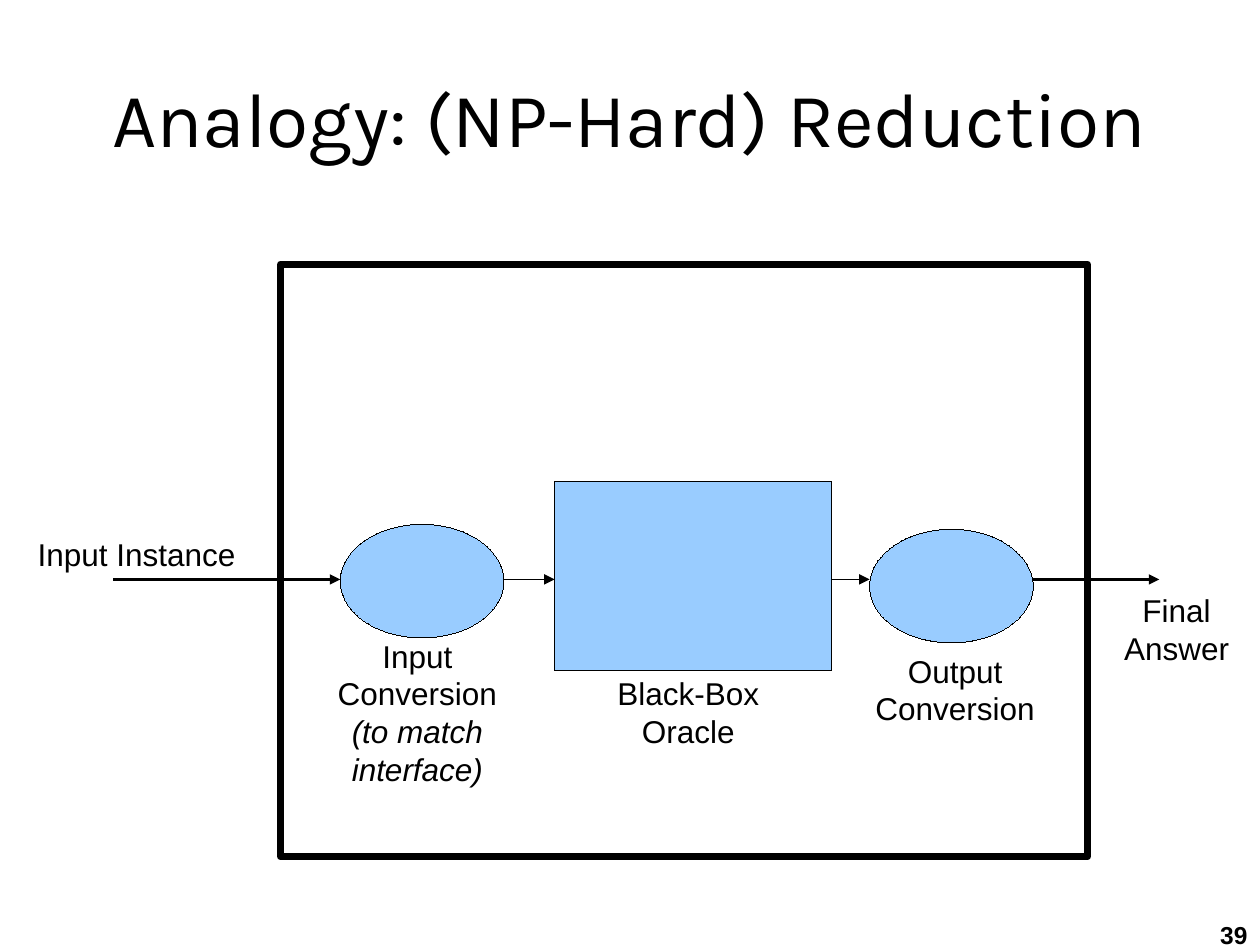
from lxml import etree
from pptx import Presentation
from pptx.dml.color import RGBColor
from pptx.enum.shapes import MSO_CONNECTOR, MSO_SHAPE
from pptx.enum.text import MSO_ANCHOR, MSO_AUTO_SIZE, PP_ALIGN
from pptx.oxml.ns import qn
from pptx.util import Cm, Pt

RECT, OVAL = MSO_SHAPE.RECTANGLE, MSO_SHAPE.OVAL
STRAIGHT = MSO_CONNECTOR.STRAIGHT
MIDDLE = MSO_ANCHOR.MIDDLE
GROW, FIXED = MSO_AUTO_SIZE.SHAPE_TO_FIT_TEXT, MSO_AUTO_SIZE.NONE
LEFT, CENTER, RIGHT = PP_ALIGN.LEFT, PP_ALIGN.CENTER, PP_ALIGN.RIGHT

COLORS = {"ink": "000000", "block": "99CCFF"}
HAIRLINE, ARROW_LINE, FRAME_LINE = 0.01, 1.45, 4.31


def color(name):
    return RGBColor.from_string(COLORS[name])


def style_text(frame, align, size, face="Arial", bold=False):
    for paragraph in frame.paragraphs:
        paragraph.alignment = align
        for run in paragraph.runs:
            run.font.name = face
            run.font.size = Pt(size)
            run.font.bold = bold
            run.font.color.rgb = color("ink")


def add_block(slide, kind, box, fill=None, width=HAIRLINE):
    block = slide.shapes.add_shape(kind, *map(Cm, box))
    block.shadow.inherit = False
    if fill:
        block.fill.solid()
        block.fill.fore_color.rgb = color(fill)
    else:
        block.fill.background()
    block.line.color.rgb = color("ink")
    block.line.width = Pt(width)


def add_arrow(slide, start, end, y, width):
    arrow = slide.shapes.add_connector(STRAIGHT, Cm(start), Cm(y), Cm(end), Cm(y))
    arrow.line.color.rgb = color("ink")
    arrow.line.width = Pt(width)
    etree.SubElement(arrow.line._get_or_add_ln(), qn("a:tailEnd"), type="triangle")
    etree.SubElement(arrow._element.spPr, qn("a:effectLst"))


def add_label(slide, text, box, align=CENTER, size=18, bold=False, wrap=False):
    label = slide.shapes.add_textbox(*map(Cm, box)).text_frame
    label.word_wrap = wrap
    label.auto_size = FIXED if wrap else GROW
    label.text = text
    style_text(label, align, size, bold=bold)
    return label


def place_title(slide, text, box):
    title = slide.shapes.title
    title.left, title.top, title.width, title.height = map(Cm, box)
    frame = title.text_frame
    frame.margin_left = frame.margin_right = 0
    frame.margin_top = frame.margin_bottom = 0
    frame.vertical_anchor = MIDDLE
    frame.word_wrap = True
    frame.text = text
    style_text(frame, CENTER, 44, "Karla")


def draw_reduction(slide, box):
    left, top, _, _ = box

    def inside(x, y, width, height):
        return left + x, top + y, width, height

    add_block(slide, RECT, box, width=FRAME_LINE)
    for kind, block_box in (
        (RECT, (5.52, 4.38, 5.59, 3.81)),
        (OVAL, (1.2, 5.24, 3.3, 2.29)),
        (OVAL, (11.87, 5.34, 3.3, 2.29)),
    ):
        add_block(slide, kind, inside(*block_box), "block")

    for start, end, width in (
        (-3.38, 1.2, ARROW_LINE),
        (4.5, 5.52, HAIRLINE),
        (11.11, 11.87, HAIRLINE),
        (15.17, 17.71, ARROW_LINE),
    ):
        add_arrow(slide, left + start, left + end, top + 6.35, width)

    add_label(slide, "Input Instance", inside(-5.15, 5.34, 4.5, 0.97), LEFT)
    input_label = add_label(
        slide,
        "Input\nConversion\n(to match\ninterface)",
        inside(0.85, 7.38, 3.81, 3.1),
    )
    for paragraph in input_label.paragraphs[2:]:
        paragraph.runs[0].font.italic = True
    for text, label_box in (
        ("Black-Box\nOracle", (6.49, 8.13, 3.45, 1.68)),
        ("Output\nConversion", (11.69, 7.68, 3.81, 1.68)),
        ("Final\nAnswer", (16.7, 6.46, 2.72, 1.68)),
    ):
        add_label(slide, text, inside(*label_box))


def main():
    deck = Presentation()
    deck.slide_width, deck.slide_height = Cm(25.4), Cm(19.05)
    slide = deck.slides.add_slide(deck.slide_layouts[5])
    place_title(slide, "Analogy: (NP-Hard) Reduction", (0.42, 0.76, 24.56, 3.18))
    draw_reduction(slide, (5.66, 5.33, 16.26, 11.94))
    add_label(slide, "39", (19.89, 18.42, 5.51, 0.86), RIGHT, 14, True, True)
    deck.save("out.pptx")


if __name__ == "__main__":
    main()
